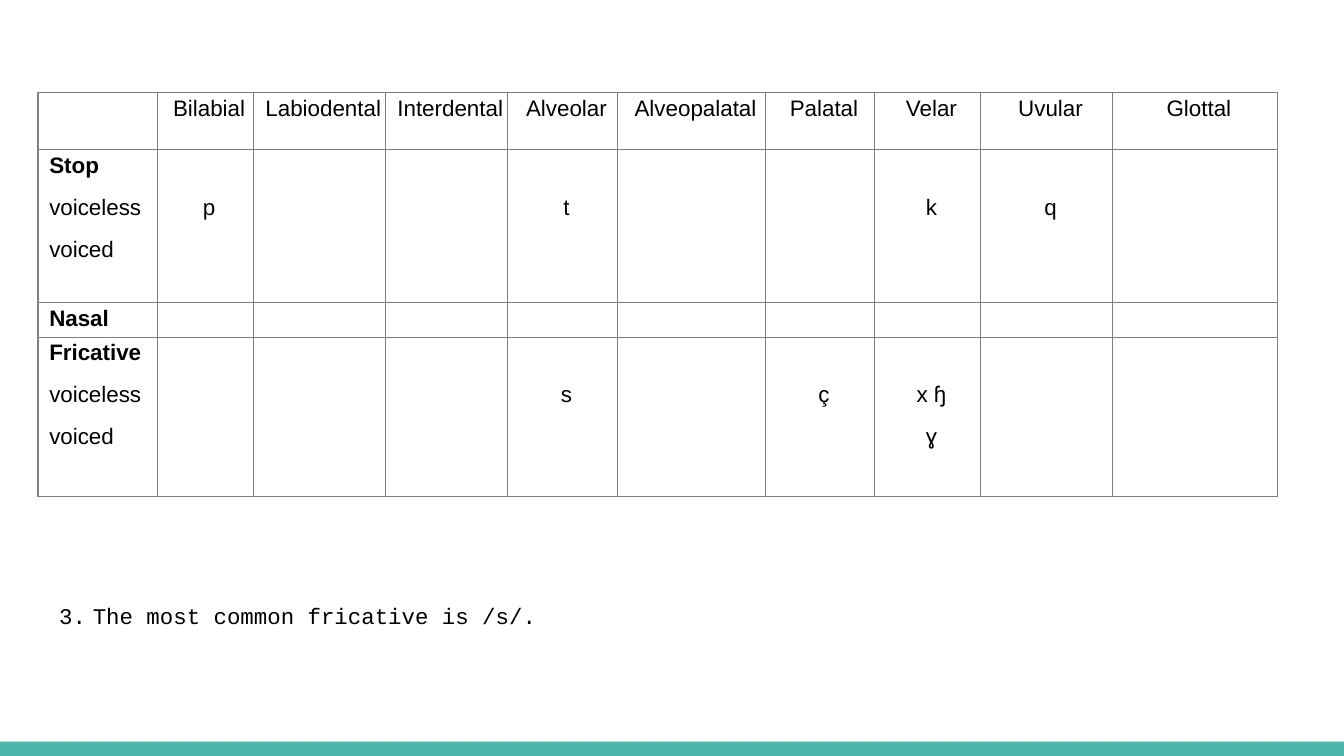
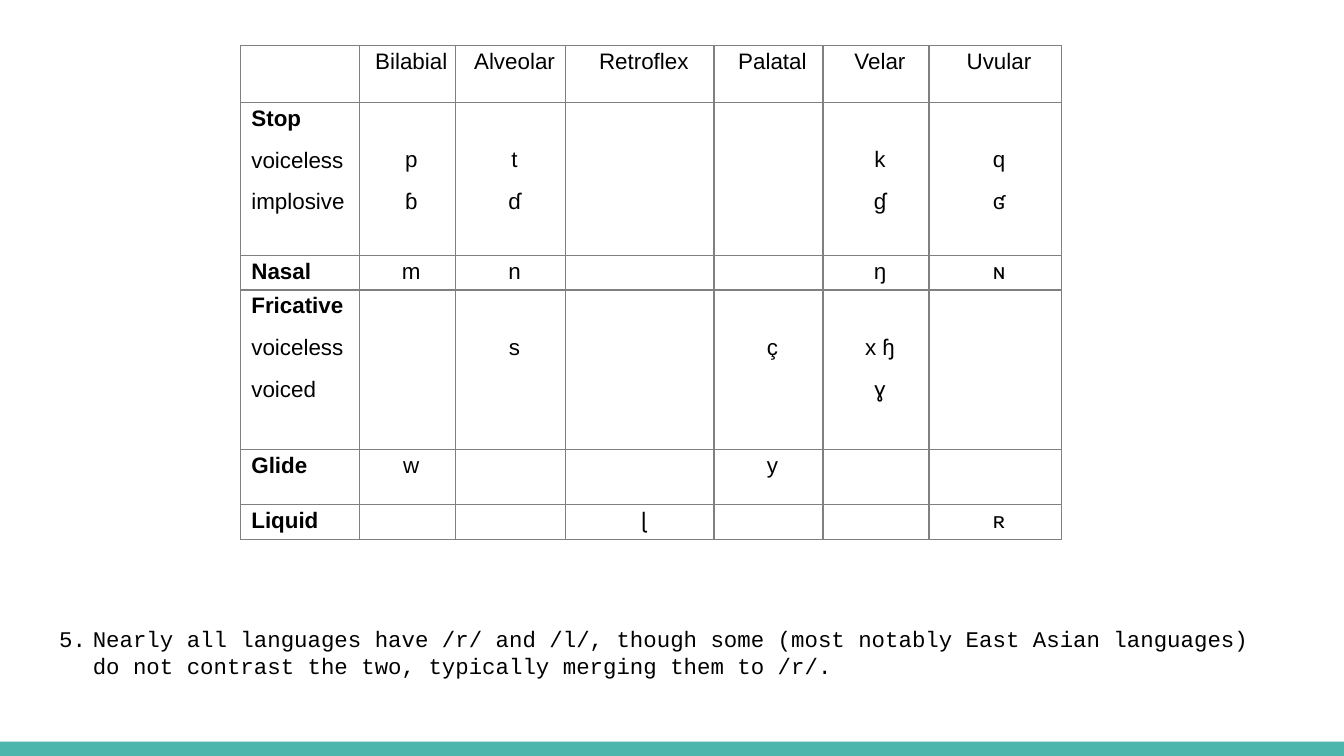
from dataclasses import dataclass

from lxml.etree import SubElement
from pptx import Presentation
from pptx.dml.color import RGBColor
from pptx.enum.shapes import MSO_SHAPE
from pptx.enum.text import MSO_ANCHOR, MSO_AUTO_SIZE, PP_ALIGN
from pptx.oxml.ns import qn
from pptx.util import Pt


@dataclass(frozen=True)
class Theme:
    text: str = "000000"
    cell: str = "FFFFFF"
    grid: str = "808080"
    band: str = "4DB6AC"
    table_font: str = "Arial"
    note_font: str = "Courier New"
    size: float = 12
    grid_width: float = 0.75


THEME = Theme()
SLIDE_WIDTH, SLIDE_HEIGHT, BAND_HEIGHT = 720, 405, 7.7
CELL_INSET, CELL_INDENT = 1.8, 4.2
LINE_GAP, LINE_PITCH = 9, 22.4
NOTE_LEFT, NOTE_WIDTH, NOTE_INSET = 24.5, 671, 7.2
NOTE_INDENT, NOTE_HANGING = 18, -24

LABEL_WIDTH, HEADER_HEIGHT = 63.8, 30.5
PLACE_WIDTHS = {
    "Bilabial": 51.5, "Labiodental": 70.9, "Interdental": 65.2, "Alveolar": 59.2,
    "Alveopalatal": 79.2, "Retroflex": 79.4, "Palatal": 58.4, "Velar": 56.8,
    "Uvular": 70.8, "Glottal": 88.2,
}
MANNER_HEIGHTS = {"Stop": 82, "Nasal": 18.5, "Fricative": 85.5, "Glide": 29.5, "Liquid": 18.7}

# Each manner of articulation is a list of lines: label, sounds by place.
FRICATIVE = [
    ("Fricative", {}),
    ("voiceless", {"Alveolar": "s", "Palatal": "ç", "Velar": "x ɧ"}),
    ("voiced", {"Velar": "ɣ"}),
]
VOICELESS_STOPS = ("voiceless", {"Bilabial": "p", "Alveolar": "t", "Velar": "k", "Uvular": "q"})

SLIDES = [
    {
        "table_at": (20.4, 49.7),
        "places": ["Bilabial", "Labiodental", "Interdental", "Alveolar", "Alveopalatal",
                   "Palatal", "Velar", "Uvular", "Glottal"],
        "manners": [
            [("Stop", {}), VOICELESS_STOPS, ("voiced", {})],
            [("Nasal", {})],
            FRICATIVE,
        ],
        "note": (3, "The most common fricative is /s/."),
        "note_top": 315.5,
        "note_height": 191,
    },
    {
        "table_at": (128.7, 24.4),
        "places": ["Bilabial", "Alveolar", "Retroflex", "Palatal", "Velar", "Uvular"],
        "manners": [
            [("Stop", {}), VOICELESS_STOPS,
             ("implosive", {"Bilabial": "ɓ", "Alveolar": "ɗ", "Velar": "ɠ", "Uvular": "ʛ"})],
            [("Nasal", {"Bilabial": "m", "Alveolar": "n", "Velar": "ŋ", "Uvular": "ɴ"})],
            FRICATIVE,
            [("Glide", {"Bilabial": "w", "Palatal": "y"})],
            [("Liquid", {"Retroflex": "ɭ", "Uvular": "ʀ"})],
        ],
        "note": (5, "Nearly all languages have /r/ and /l/, though some (most notably East Asian "
                    "languages) do not contrast the two, typically merging them to /r/."),
        "note_top": 327.7,
        "note_height": 166,
    },
]


def style_runs(paragraph, font_name, bold=False):
    for run in paragraph.runs:
        run.font.name = font_name
        run.font.size = Pt(THEME.size)
        run.font.bold = bold
        run.font.color.rgb = RGBColor.from_string(THEME.text)


def add_solid_fill(parent, color):
    SubElement(SubElement(parent, qn("a:solidFill")), qn("a:srgbClr"), val=color)


def draw_borders(cell):
    properties = cell._tc.get_or_add_tcPr()
    for position, side in enumerate(("a:lnL", "a:lnR", "a:lnT", "a:lnB")):
        line = properties.makeelement(qn(side), {"w": str(Pt(THEME.grid_width))})
        add_solid_fill(line, THEME.grid)
        properties.insert(position, line)


def fill_cell(cell, lines, is_label=False):
    """Write the lines; leading empty ones become top margin."""
    cell.fill.solid()
    cell.fill.fore_color.rgb = RGBColor.from_string(THEME.cell)
    draw_borders(cell)
    used = [index for index, line in enumerate(lines) if line]
    first = used[0] if used else 0
    cell.margin_left = cell.margin_right = cell.margin_bottom = Pt(CELL_INSET)
    cell.margin_top = Pt(CELL_INSET + first * LINE_PITCH)
    if not used:
        end = SubElement(cell.text_frame.paragraphs[0]._p, qn("a:endParaRPr"),
                         sz=str(int(THEME.size * 100)))
        SubElement(end, qn("a:latin"), typeface=THEME.table_font)
        return
    cell.text_frame.text = "\n".join(lines[index] for index in used)
    for index, paragraph in enumerate(cell.text_frame.paragraphs):
        paragraph._p.get_or_add_pPr().set("marL", str(Pt(CELL_INDENT)))
        paragraph.alignment = PP_ALIGN.LEFT if is_label else PP_ALIGN.CENTER
        paragraph.space_before = Pt(LINE_GAP if index else 0)
        style_runs(paragraph, THEME.table_font, bold=is_label and index == 0)


def add_sound_table(slide, left_top, places, manners):
    widths = [LABEL_WIDTH] + [PLACE_WIDTHS[place] for place in places]
    heights = [HEADER_HEIGHT] + [MANNER_HEIGHTS[lines[0][0]] for lines in manners]
    left, top = left_top
    frame = slide.shapes.add_table(len(heights), len(widths), Pt(left), Pt(top),
                                   Pt(sum(widths)), Pt(sum(heights)))
    table = frame.table
    table.first_row = table.horz_banding = False
    for column, width in zip(table.columns, widths):
        column.width = Pt(width)
    for row, height in zip(table.rows, heights):
        row.height = Pt(height)

    for column, place in enumerate([""] + places):
        fill_cell(table.cell(0, column), [place])
    for row, lines in enumerate(manners, 1):
        fill_cell(table.cell(row, 0), [label for label, _ in lines], is_label=True)
        for column, place in enumerate(places, 1):
            fill_cell(table.cell(row, column), [sounds.get(place, "") for _, sounds in lines])


def write_note(body, number, text, top, height):
    body.left, body.top = Pt(NOTE_LEFT), Pt(top)
    body.width, body.height = Pt(NOTE_WIDTH), Pt(height)
    frame = body.text_frame
    frame.auto_size = MSO_AUTO_SIZE.NONE
    frame.word_wrap = True
    frame.vertical_anchor = MSO_ANCHOR.TOP
    frame.margin_left = frame.margin_right = Pt(NOTE_INSET)
    frame.margin_top = frame.margin_bottom = Pt(NOTE_INSET)
    frame.text = text
    paragraph = frame.paragraphs[0]
    paragraph.space_before = Pt(0)
    paragraph.line_spacing = 1.0
    properties = paragraph._p.get_or_add_pPr()
    properties.set("marL", str(Pt(NOTE_INDENT)))
    properties.set("indent", str(Pt(NOTE_HANGING)))
    color = SubElement(properties, qn("a:buClr"))
    SubElement(color, qn("a:srgbClr"), val=THEME.text)
    SubElement(properties, qn("a:buFont"), typeface=THEME.note_font)
    SubElement(properties, qn("a:buAutoNum"), type="arabicPeriod", startAt=str(number))
    style_runs(paragraph, THEME.note_font)


def add_band(slide):
    band = slide.shapes.add_shape(MSO_SHAPE.RECTANGLE, 0, Pt(SLIDE_HEIGHT - BAND_HEIGHT),
                                  Pt(SLIDE_WIDTH), Pt(BAND_HEIGHT))
    band.shadow.inherit = False
    band.fill.solid()
    band.fill.fore_color.rgb = RGBColor.from_string(THEME.band)
    band.line.fill.background()


def main():
    presentation = Presentation()
    presentation.slide_width, presentation.slide_height = Pt(SLIDE_WIDTH), Pt(SLIDE_HEIGHT)
    layout = presentation.slide_layouts.get_by_name("Title and Content")
    for content in SLIDES:
        slide = presentation.slides.add_slide(layout)
        title = slide.shapes.title._element
        title.getparent().remove(title)
        add_band(slide)
        write_note(slide.placeholders[1], *content["note"], content["note_top"],
                   content["note_height"])
        add_sound_table(slide, content["table_at"], content["places"], content["manners"])
    presentation.save("out.pptx")


if __name__ == "__main__":
    main()
